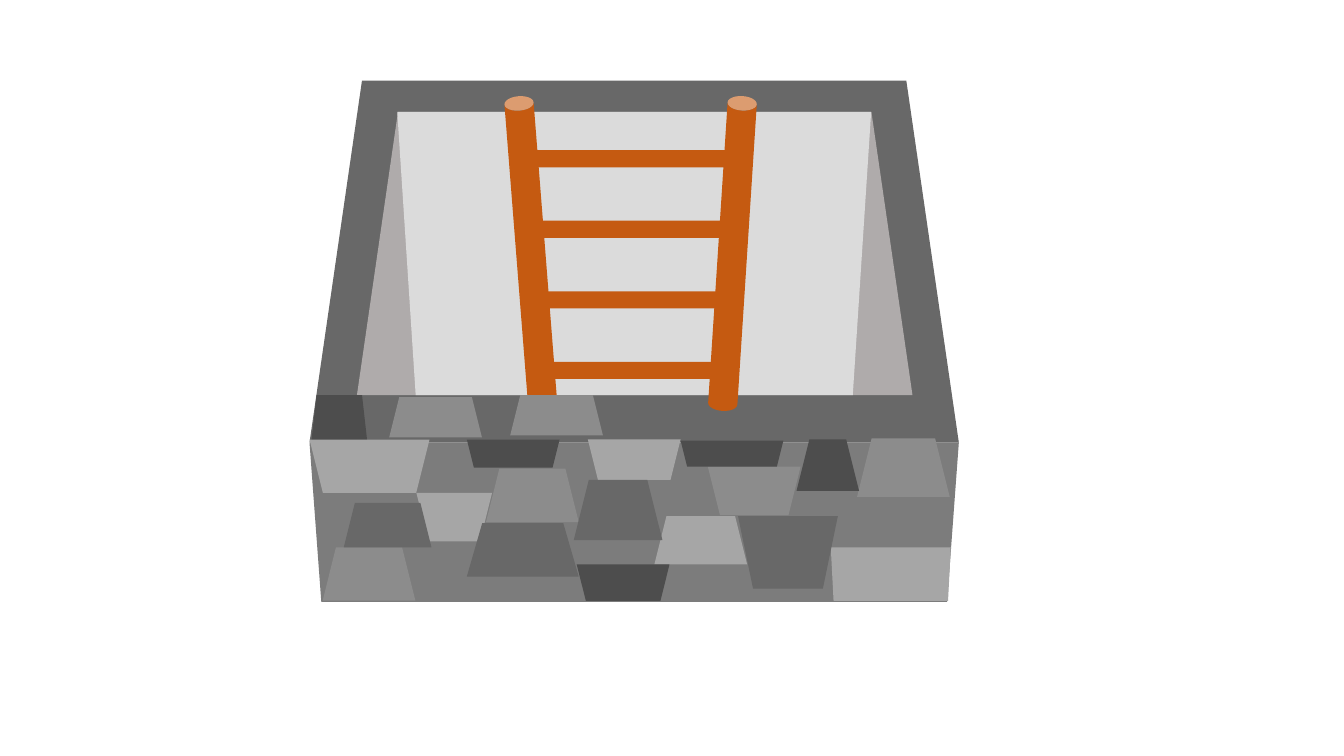
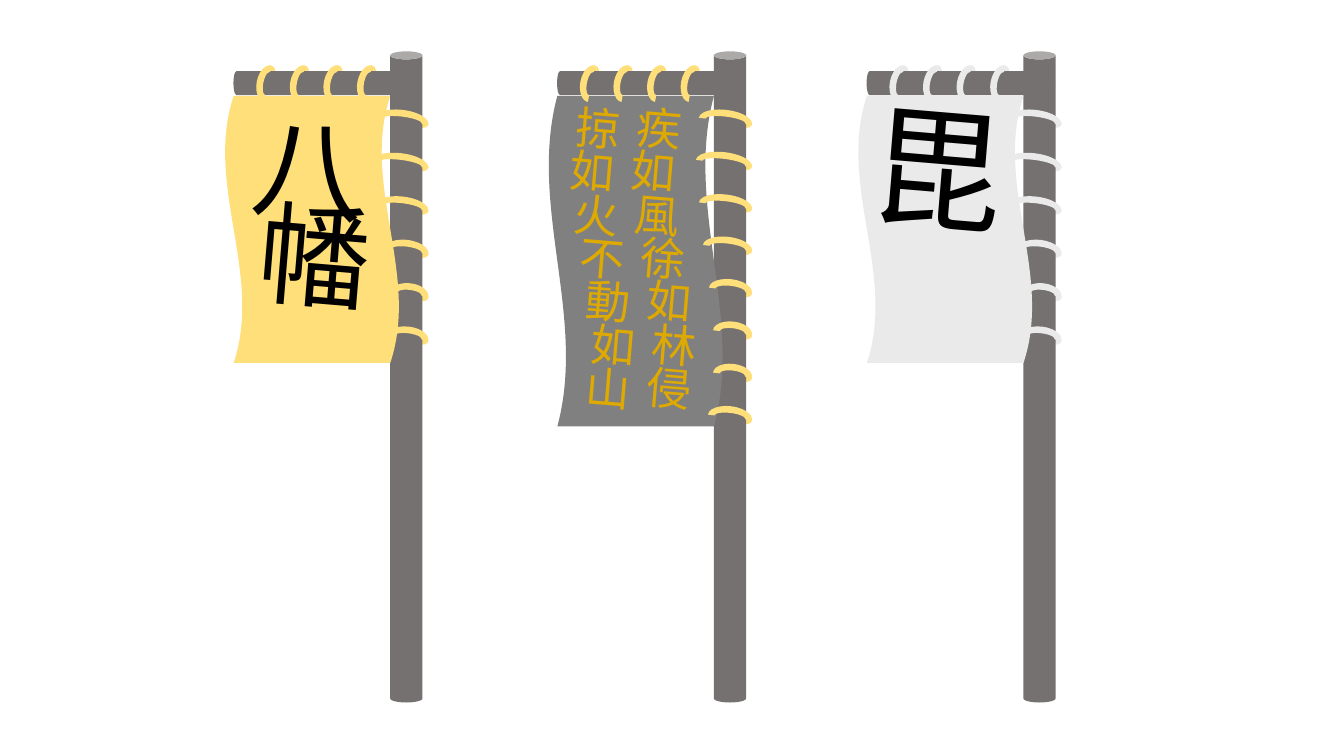
from pptx import Presentation
from pptx.dml.color import RGBColor
from pptx.enum.shapes import MSO_SHAPE as Preset
from pptx.enum.text import MSO_AUTO_SIZE as AutoSize
from pptx.oxml.ns import qn
from pptx.util import Inches, Pt

FONT = "Noto Sans CJK JP"
COLOURS = {
    "rim": "686868", "side_wall": "AFABAB", "back_wall": "DBDBDB",
    "front_wall": "7C7C7C", "wood": "C55A11",
    "light": "A6A6A6", "medium": "8C8C8C", "dark": "686868", "darkest": "4D4D4D",
    "pole": "767171", "yellow": "FFDF79", "silver": "EAEAEA", "grey": "808080",
    "ink": "000000", "gold": "DEA900",
}

WALLS = [
    ((3.07, 0.8, 6.44, 3.59), "rim", 0, 0.145),
    ((3.54, 1.11, 5.51, 2.81), "side_wall", 0, 0.145),
    ((3.94, 1.11, 4.7, 2.81), "back_wall", 180, 0.065),
]
FRONT = ((3.07, 4.39, 6.44, 1.58), "front_wall", 180, 0.074)
STONES = [
    ((3.07, 4.36, 1.19, 0.53), "light", 180, 0.25),
    ((4.13, 4.89, 0.75, 0.48), "light", 180, 0.25),
    ((5.83, 4.36, 0.92, 0.4), "light", 180, 0.25),
    ((8.24, 5.43, 1.19, 0.53), "light", 180, 0.052),
    ((6.49, 5.12, 0.92, 0.48), "light", 0, 0.25),
    ((3.2, 5.43, 0.92, 0.53), "medium", 0, 0.25),
    ((4.82, 4.65, 0.92, 0.53), "medium", 0, 0.25),
    ((7.02, 4.63, 0.92, 0.48), "medium", 180, 0.25),
    ((8.5, 4.35, 0.92, 0.58), "medium", 0, 0.25),
    ((4.63, 5.19, 1.11, 0.53), "dark", 0, 0.289),
    ((7.32, 5.12, 0.99, 0.72), "dark", 180, 0.207),
    ((3.41, 4.99, 0.87, 0.44), "dark", 0, 0.25),
    ((5.69, 4.76, 0.88, 0.6), "dark", 0, 0.25),
    ((4.63, 4.36, 0.92, 0.28), "darkest", 180, 0.25),
    ((5.72, 5.6, 0.92, 0.36), "darkest", 180, 0.25),
    ((7.9, 4.36, 0.62, 0.51), "darkest", 0, 0.25),
    ((6.75, 4.37, 1.02, 0.26), "darkest", 180, 0.25),
    ((5.06, 3.92, 0.92, 0.4), "medium", 0, 0.25),
    ((3.86, 3.94, 0.92, 0.4), "medium", 0, 0.25),
    ((3.09, 3.92, 0.55, 0.44), "darkest", 0, 0.112),
]
RAILS = [(5.12, 355.5), (7.12, 3.7)]
RUNG_LENGTHS = [2.07, 2.07, 1.93, 1.77]
RUNG_CENTRE, RUNG_TOP, RUNG_STEP, RUNG_WIDTH = 6.29, 1.575, 0.7, 0.17

SHORT_RINGS = [0.53, 0.56, 0.52, 0.44, 0.38, 0.41]
LONG_RINGS = [0.53, 0.56, 0.53, 0.49, 0.43, 0.39, 0.39, 0.44]
POEM = ["疾如風徐如林侵", "掠如火不動如山"]
POEM_LEFTS = [6.22, 6.16, 6.2, 6.26, 6.32, 6.37, 6.32]
COLUMN_GAP, LINE_STEP = 0.61, 0.43
BANNERS = [
    {"pole": 3.87, "length": 2.65, "cloth": "yellow", "rope": "yellow",
     "rings": SHORT_RINGS, "step": 0.43, "size": 80, "ink": "ink",
     "glyphs": [("幡", (2.47, 1.79, 1.2, 1.45)), ("八", (2.41, 0.93, 1.2, 1.45))]},
    {"pole": 10.15, "length": 2.65, "cloth": "silver", "rope": "silver",
     "rings": SHORT_RINGS, "step": 0.43, "size": 96, "ink": "ink",
     "glyphs": [("毘", (8.54, 0.8, 1.6, 1.72))]},
    {"pole": 7.08, "length": 3.28, "cloth": "grey", "rope": "yellow",
     "rings": LONG_RINGS, "step": 0.42, "size": 32, "ink": "gold",
     "glyphs": [(glyph, (left - column * COLUMN_GAP, 0.95 + row * LINE_STEP, 0.7, 0.64))
                for column, line in enumerate(POEM)
                for row, (glyph, left) in enumerate(zip(line, POEM_LEFTS))]},
]
ROPE_ARC = (108, 0.589, 0.301)
TOP_LOOPS, LOOP_STEP = 4, 0.333
CLOTH_TOP, CLOTH_WIDTH = 0.95, 1.73


def add_part(page, preset, place, colour, turn=0, adjust=(), flip=False):
    shape = page.shapes.add_shape(preset, *map(Inches, place))
    shape.shadow.inherit = False
    shape.fill.solid()
    shape.fill.fore_color.rgb = RGBColor.from_string(COLOURS[colour])
    shape.line.fill.background()
    shape.rotation = turn
    for index, value in enumerate(adjust):
        shape.adjustments[index] = value
    if flip:
        shape.element.spPr.get_or_add_xfrm().set("flipH", "1")
    return shape


def add_text(page, text, place, size, colour, turn=0):
    box = page.shapes.add_textbox(*map(Inches, place))
    box.rotation = turn
    box.text_frame.word_wrap = True
    box.text_frame.auto_size = AutoSize.SHAPE_TO_FIT_TEXT
    span = box.text_frame.paragraphs[0].add_run()
    span.text = text
    span.font.size = Pt(size)
    span.font.name = FONT
    span.font.color.rgb = RGBColor.from_string(COLOURS[colour])
    east_asian = span.font._element.makeelement(qn("a:ea"), {"typeface": FONT})
    span.font._element.find(qn("a:latin")).addnext(east_asian)
    return box


def centred(centre_x, centre_y, width, height):
    return centre_x - width / 2, centre_y - height / 2, width, height


def add_blocks(page, blocks):
    for place, colour, turn, slant in blocks:
        add_part(page, Preset.TRAPEZOID, place, colour, turn, (slant,))


def add_rail(page, left, turn):
    add_part(page, Preset.CAN, (left, 0.95, 0.29, 3.13), "wood", turn, (0.495,))


def build_pit(page):
    add_blocks(page, WALLS)
    add_rail(page, *RAILS[0])
    for row, length in enumerate(RUNG_LENGTHS):
        place = centred(RUNG_CENTRE, RUNG_TOP + row * RUNG_STEP, RUNG_WIDTH, length)
        add_part(page, Preset.CAN, place, "wood", 90, (0.495,))
    add_rail(page, *RAILS[1])
    add_blocks(page, [FRONT] + STONES)


def build_banner(page, banner):
    pole, rope, step, length = (banner[key] for key in ("pole", "rope", "step", "length"))
    for row in range(len(banner["rings"])):
        add_part(page, Preset.OVAL, (pole + 0.25, 1.19 + row * step, 0.13, 0.08), rope)
    for column in range(TOP_LOOPS):
        left = pole - 1.23 + column * LOOP_STEP
        add_part(page, Preset.OVAL, (left, 0.65, 0.09, 0.11), rope)
    add_part(page, Preset.CAN, centred(pole - 0.62, 0.825, 0.24, 1.87), "pole", 90)
    add_part(page, Preset.CAN, (pole, 0.51, 0.32, 6.46), "pole")
    cloth = centred(pole - 0.775, CLOTH_TOP + length / 2, length, CLOTH_WIDTH)
    add_part(page, Preset.WAVE, cloth, banner["cloth"], 270, (0.051, 0), flip=True)
    for glyph, place in banner["glyphs"]:
        add_text(page, glyph, place, size=banner["size"], colour=banner["ink"], turn=4.8)
    for column in range(TOP_LOOPS):
        left = pole - 1.4 + column * LOOP_STEP
        add_part(page, Preset.BLOCK_ARC, (left, 0.72, 0.37, 0.22), rope, 280.7, ROPE_ARC)
    for row, width in enumerate(banner["rings"]):
        place = (pole + 0.38 - width, 1.09 + row * step, width, 0.22)
        add_part(page, Preset.BLOCK_ARC, place, rope, 6.9, ROPE_ARC)


def main():
    deck = Presentation()
    deck.slide_width, deck.slide_height = Inches(13.33), Inches(7.5)
    blank = deck.slide_layouts[6]
    build_pit(deck.slides.add_slide(blank))
    banner_page = deck.slides.add_slide(blank)
    for banner in BANNERS:
        build_banner(banner_page, banner)
    deck.save("out.pptx")


if __name__ == "__main__":
    main()
